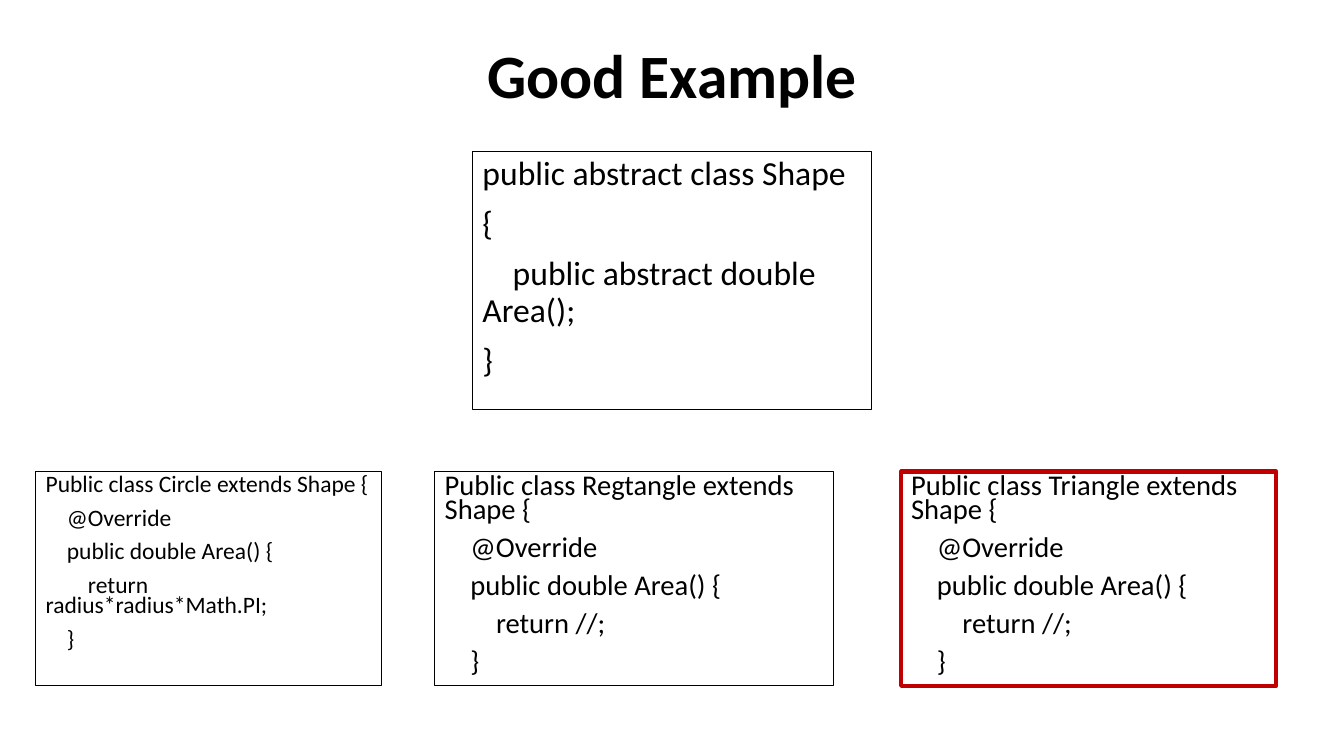
from pptx import Presentation
from pptx.dml.color import RGBColor
from pptx.enum.shapes import MSO_SHAPE
from pptx.enum.text import MSO_ANCHOR, MSO_AUTO_SIZE, PP_ALIGN
from pptx.oxml.ns import qn
from pptx.util import Inches, Pt

deck = Presentation()
deck.slide_width, deck.slide_height = Inches(13.333), Inches(7.5)
COL, ROW = deck.slide_width / 100, deck.slide_height / 100
slide = deck.slides.add_slide(deck.slide_layouts[1])


def paint(form, hue):
    """Set a line or font colour from a hex string."""
    form.color.rgb = RGBColor.from_string(hue)


def write(shape, lines, spot, size, bold=False, align=PP_ALIGN.LEFT,
          anchor=MSO_ANCHOR.TOP, lead=0.9, gap=10, edge=None, thick=0.75):
    """Place a shape in grid units and fill it with (level, text) lines."""
    left, top, wide, high = spot
    shape.left, shape.top = round(left * COL), round(top * ROW)
    shape.width, shape.height = round(wide * COL), round(high * ROW)
    if edge:
        shape.fill.background()
        paint(shape.line, edge)
        shape.line.width = Pt(thick)
    frame = shape.text_frame
    frame.word_wrap, frame.auto_size = True, MSO_AUTO_SIZE.NONE
    frame.vertical_anchor = anchor
    for i, (level, text) in enumerate(lines):
        para = frame.add_paragraph() if i else frame.paragraphs[0]
        para.alignment, para.line_spacing = align, lead
        para.space_before, para.space_after = Pt(gap), Pt(0)
        # Code levels indent the first line only, so wrapped text returns left
        props = para._p.get_or_add_pPr()
        props.set("marL", "0")
        props.set("indent", str(int(Pt(size * 0.9 * level))))
        props.append(props.makeelement(qn("a:buNone"), {}))
        run = para.add_run()
        run.text = text
        font = run.font
        font.name, font.size, font.bold = "Calibri", Pt(size), bold
        paint(font, "000000")


title, body = slide.placeholders
write(title, [(0, "Good Example")], (6.9, 0.67, 86.25, 19.33), 44, bold=True,
      align=PP_ALIGN.CENTER, anchor=MSO_ANCHOR.MIDDLE, gap=0)

base = [(0, "public abstract class Shape"), (0, "{"),
        (1, "public abstract double Area();"), (0, "}")]
write(body, base, (35.15, 20, 29.7, 34.13), 24, edge="000000")

# Class name, returned value, left, width, text size, line colour, line width
kinds = [
    ("Circle", "radius*radius*Math.PI", 2.66, 25.75, 16.8, "000000", 0.75),
    ("Regtangle", "//", 32.35, 29.7, 20.4, "000000", 0.75),
    ("Triangle", "//", 67.05, 27.9, 20.4, "C00000", 3),
]
for name, value, left, wide, size, edge, thick in kinds:
    box = slide.shapes.add_shape(MSO_SHAPE.RECTANGLE, 0, 0, 0, 0)
    box.shadow.inherit = False
    code = [(0, f"Public class {name} extends Shape {{"), (1, "@Override"),
            (1, "public double Area() {"), (2, f"return {value};"), (1, "}")]
    write(box, code, (left, 62.38, wide, 28.35), size, lead=0.7,
          edge=edge, thick=thick)

deck.save("out.pptx")
